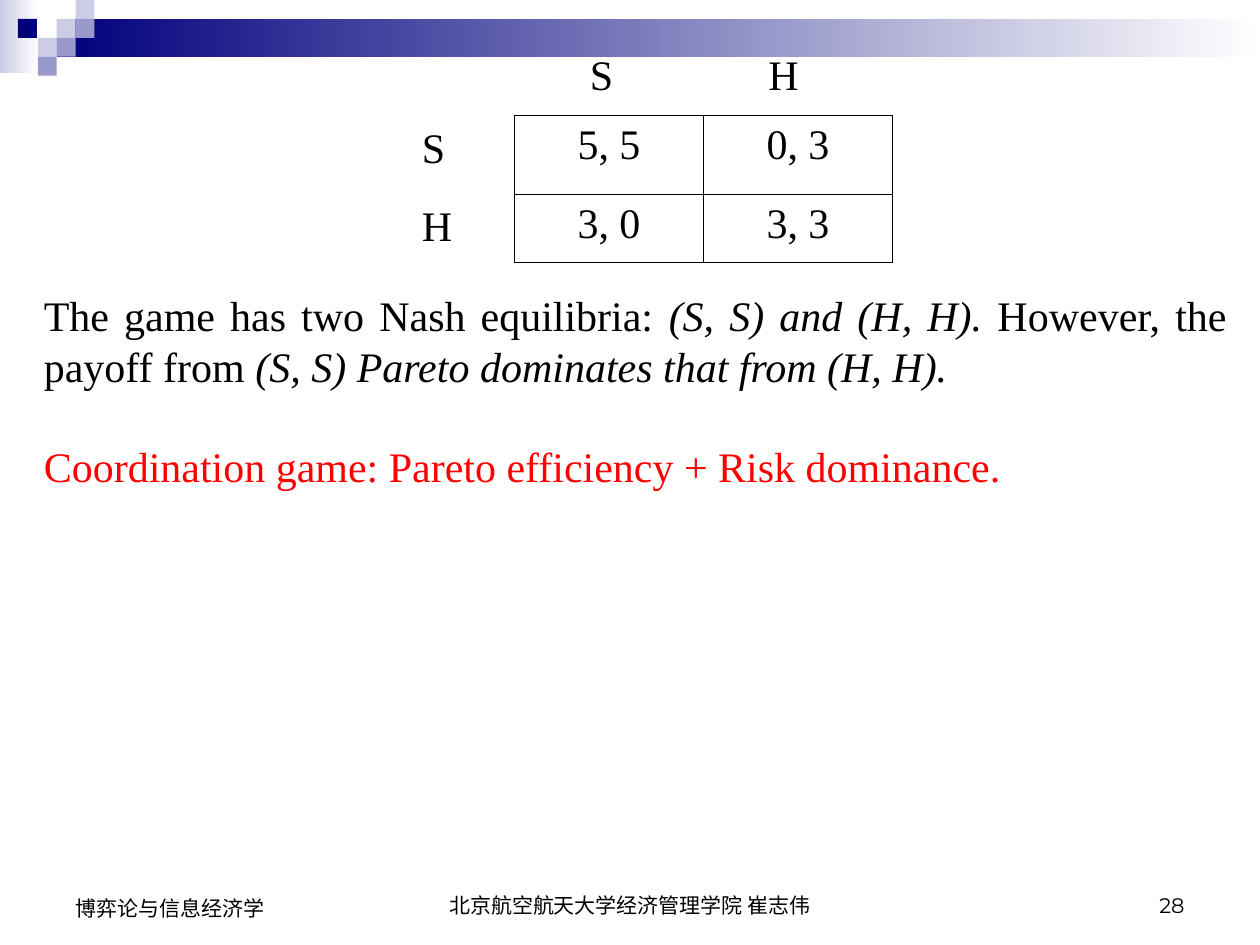
import pptx
import pptx.dml.color
import pptx.enum.shapes
import pptx.enum.text
import pptx.oxml
import pptx.oxml.ns
import pptx.util

Pt = pptx.util.Pt
ALIGN = pptx.enum.text.PP_ALIGN
ANCHOR = pptx.enum.text.MSO_ANCHOR

COLOURS = {
    "black": "000000",
    "white": "FFFFFF",
    "navy": "00007D",
    "violet": "9999CC",
    "pale": "CCCCE6",
    "red": "FF0000",
}
SERIF = {"name": "Times New Roman", "size": Pt(24)}
FOOTER = {"name": "Arial", "size": Pt(12)}
NUMBER = {"name": "Montserrat", "size": Pt(12)}
BODY_LINE = {"line_spacing": Pt(28.8)}
SQUARE = 10.8


def colour(name):
    return pptx.dml.color.RGBColor.from_string(COLOURS[name])


def apply_format(target, values):
    for attribute, value in values.items():
        setattr(target, attribute, value)


def add_span(para, text, font, ink="black"):
    span = para.add_run()
    span.text = text
    apply_format(span.font, font)
    span.font.color.rgb = colour(ink)


def add_block(page, left, top, width, height):
    block = page.shapes.add_shape(
        pptx.enum.shapes.MSO_SHAPE.RECTANGLE,
        Pt(left), Pt(top), Pt(width), Pt(height))
    block.shadow.inherit = False
    block.line.fill.background()
    return block


def add_fade(page, place, start):
    fill = add_block(page, *place).fill
    fill.gradient()
    fill.gradient_angle = 0
    for stop, name in zip(fill.gradient_stops, (start, "white")):
        stop.color.rgb = colour(name)


def add_square(page, column, row, name):
    fill = add_block(page, column * SQUARE, row * SQUARE, SQUARE, SQUARE).fill
    fill.solid()
    fill.fore_color.rgb = colour(name)


def add_text(page, place, paragraphs, para_format, anchor=ANCHOR.TOP):
    """Each paragraph is a list of (text, font, colour) spans."""
    box = page.shapes.add_textbox(*(Pt(length) for length in place))
    frame = box.text_frame
    frame.word_wrap = True
    frame.vertical_anchor = anchor
    for index, spans in enumerate(paragraphs):
        para = frame.add_paragraph() if index else frame.paragraphs[0]
        apply_format(para, para_format)
        for span in spans:
            add_span(para, *span)
    return frame


def add_border(cell, side, width):
    line = pptx.oxml.parse_xml(
        f'<a:{side} {pptx.oxml.ns.nsdecls("a")} w="{Pt(width)}"><a:solidFill>'
        f'<a:srgbClr val="{COLOURS["black"]}"/></a:solidFill></a:{side}>')
    cell._tc.get_or_add_tcPr().append(line)


def add_payoffs(page, place, heights, payoffs):
    rows, columns = len(payoffs), len(payoffs[0])
    table = page.shapes.add_table(
        rows, columns, *(Pt(length) for length in place)).table
    apply_format(table, {"first_row": False, "horz_banding": False})
    for row, height in zip(table.rows, heights):
        row.height = Pt(height)
    for r, values in enumerate(payoffs):
        for c, value in enumerate(values):
            cell = table.cell(r, c)
            # Outer edges are heavier than inner ones
            outer = {"lnL": c == 0, "lnR": c == columns - 1,
                     "lnT": r == 0, "lnB": r == rows - 1}
            for side, is_outer in outer.items():
                add_border(cell, side, 1.08 if is_outer else 0.45)
            cell.fill.background()
            para = cell.text_frame.paragraphs[0]
            para.alignment = ALIGN.CENTER
            add_span(para, value, SERIF)


def main():
    deck = pptx.Presentation()
    apply_format(deck, {"slide_width": Pt(720), "slide_height": Pt(540)})
    page = deck.slides.add_slide(deck.slide_layouts[6])

    # Banner with its mosaic of squares
    add_fade(page, (0, 0, 22.3, 41.8), "pale")
    add_fade(page, (32.4, 10.8, 687.6, 21.6), "navy")
    for square in ((3, 1, "pale"), (4, 0, "pale"), (4, 1, "violet"),
                   (2, 2, "pale"), (0.95, 1, "navy"), (3, 2, "violet"),
                   (2, 3, "violet")):
        add_square(page, *square)

    # Footer
    for place, text, font, alignment in (
            ((246, 492, 228, 36), "北京航空航天大学经济管理学院 崔志伟",
             FOOTER, ALIGN.CENTER),
            ((516, 492, 168, 36), "28", NUMBER, ALIGN.RIGHT),
            ((36, 492, 168, 37.4), "博弈论与信息经济学", FOOTER, ALIGN.LEFT)):
        add_text(page, place, [[(text, font)]], {"alignment": alignment},
                 ANCHOR.BOTTOM)

    # Payoff matrix and its strategy labels
    add_payoffs(page, (294, 66, 216, 84), (45.2, 38.8),
                (("5, 5", "0, 3"), ("3, 0", "3, 3")))
    for left, top, strategy in ((234, 66, "S"), (234, 110.4, "H"),
                                (330, 24, "S"), (432, 24, "H")):
        add_text(page, (left, top, 42, 36), [[(strategy, SERIF)]], BODY_LINE)

    # Discussion
    italic = {**SERIF, "italic": True}
    frame = add_text(
        page, (18, 162, 690, 122.4),
        [[("The game has two Nash equilibria: ", SERIF),
          ("(S, S) and (H, H). ", italic),
          ("However, the payoff from ", SERIF),
          ("(S, S) Pareto dominates that from (H, H).", italic)],
         [("Coordination game: Pareto efficiency + Risk dominance.",
           SERIF, "red")]],
        {**BODY_LINE, "alignment": ALIGN.JUSTIFY})
    frame.paragraphs[1].space_before = Pt(28.8)

    deck.save("out.pptx")


if __name__ == "__main__":
    main()
